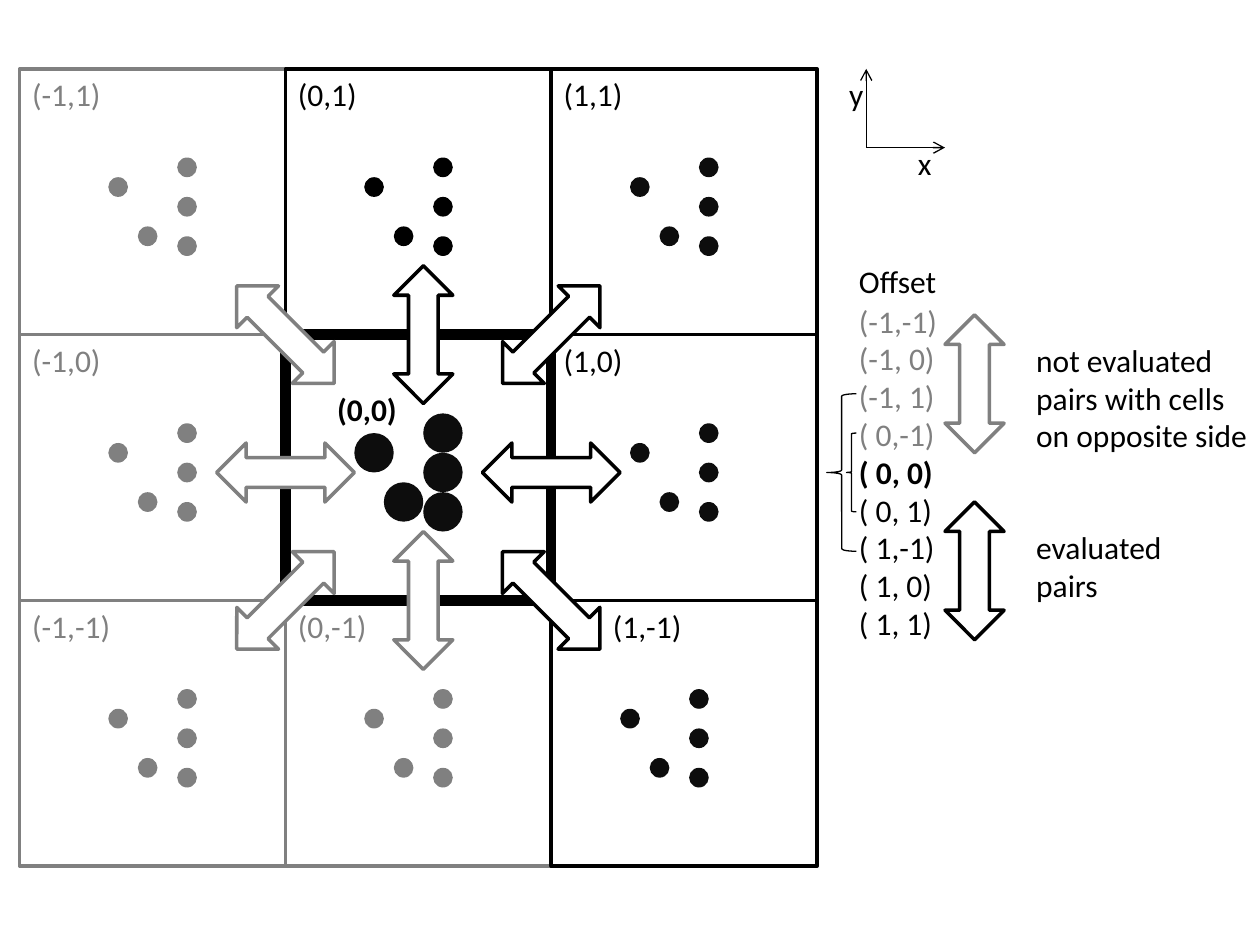
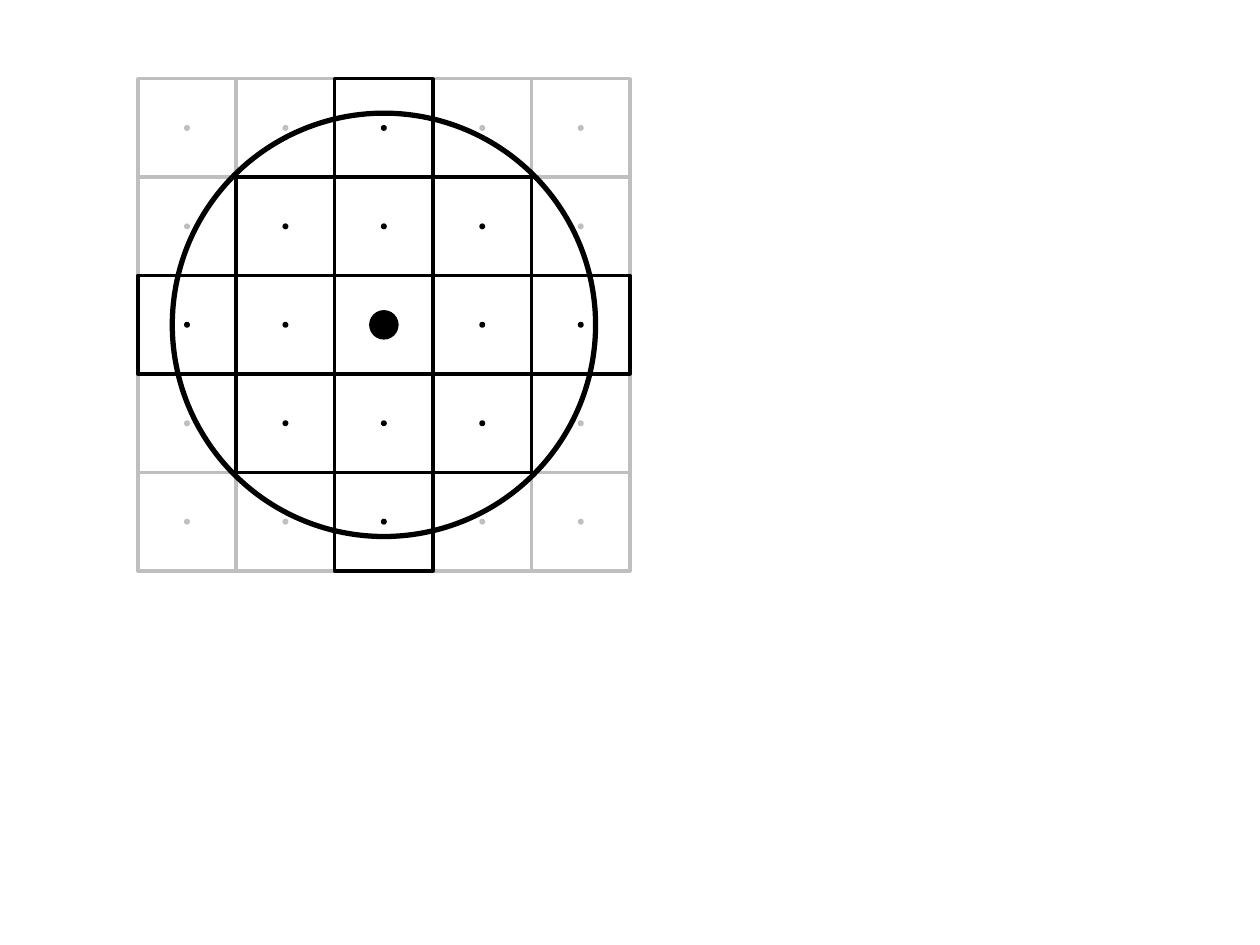
from itertools import product
from pptx import Presentation
from pptx.dml.color import RGBColor
from pptx.enum.shapes import MSO_CONNECTOR as Connector, MSO_SHAPE as Shape
from pptx.enum.text import MSO_AUTO_SIZE as AutoSize
from pptx.oxml.ns import qn
from pptx.util import Pt
from lxml.etree import SubElement

BLACK = RGBColor(0, 0, 0)
NEAR_BLACK = RGBColor(0x0D, 0x0D, 0x0D)
GRAY = RGBColor(0x80, 0x80, 0x80)
LIGHT_GRAY = RGBColor(0xBF, 0xBF, 0xBF)
WHITE = RGBColor(255, 255, 255)
FONT = "Calibri"
STEP = 45 / 8
CELL = 27 * STEP
ARROW_WIDTH, ARROW_HEIGHT = 6 * STEP, 14 * STEP
PARTICLES = [(9, 12), (16, 18), (12, 17), (16, 10), (16, 14)]


def add_outline(slide, kind, box, line=None, weight=2, fill=None):
    shape = slide.shapes.add_shape(kind, *(Pt(length) for length in box))
    shape.shadow.inherit = False
    if fill is None:
        shape.fill.background()
    else:
        shape.fill.solid()
        shape.fill.fore_color.rgb = fill
    if line is None:
        shape.line.fill.background()
    else:
        shape.line.color.rgb = line
        shape.line.width = Pt(weight)
    return shape


def add_dot(slide, x, y, diameter, color):
    box = (x - diameter / 2, y - diameter / 2, diameter, diameter)
    add_outline(slide, Shape.OVAL, box, fill=color)


def add_arrow(slide, x, y, color, rotation=0):
    box = (x - ARROW_WIDTH / 2, y - ARROW_HEIGHT / 2, ARROW_WIDTH, ARROW_HEIGHT)
    add_outline(slide, Shape.UP_DOWN_ARROW, box, color, fill=WHITE).rotation = rotation


def add_label(slide, text, box, color=BLACK, bold=False):
    label = slide.shapes.add_textbox(*(Pt(length) for length in box))
    frame = label.text_frame
    frame.word_wrap = False
    frame.auto_size = AutoSize.SHAPE_TO_FIT_TEXT
    frame.text = text
    for paragraph in frame.paragraphs:
        for run in paragraph.runs:
            run.font.name = FONT
            run.font.size = Pt(18)
            run.font.bold = bold
            run.font.color.rgb = color
    return frame


def add_axis(slide, start, end):
    axis = slide.shapes.add_connector(
        Connector.STRAIGHT, *(Pt(length) for length in start + end))
    axis.line.color.rgb = BLACK
    axis.line.width = Pt(0.75)
    SubElement(axis.line._get_or_add_ln(), qn("a:tailEnd"), type="arrow")
    SubElement(axis._element.spPr, qn("a:effectLst"))


def is_evaluated(column, row):
    return (column, row) > (0, 0)


def cell_color(column, row):
    return BLACK if is_evaluated(column, row) or (column, row) == (0, 1) else GRAY


def draw_neighbour(slide, left, top, column, row):
    color = cell_color(column, row)
    corner = (column, row) == (1, -1)
    add_outline(slide, Shape.RECTANGLE, (left, top, CELL, CELL), color)
    dot_color = NEAR_BLACK if column == 1 else color
    shift = -2 if corner else -1 if column >= 0 else 0
    for x, y in PARTICLES:
        add_dot(slide, left + (x + 1 + shift) * STEP, top + y * STEP, 2 * STEP, dot_color)
    text = f"({column},{row})"
    label_left = left + 5 * STEP if corner else left
    add_label(slide, text, (label_left, top, 49 + 5.5 * text.count("-"), 29), color)


def draw_center(slide, left, top):
    for x, y in PARTICLES:
        add_dot(slide, left + x * STEP, top + y * STEP, 4 * STEP, NEAR_BLACK)
    add_label(slide, "(0,0)", (left + 4 * STEP, top + 5 * STEP, 49, 29), bold=True)
    add_outline(slide, Shape.RECTANGLE, (left, top, CELL, CELL), BLACK, 6)


def draw_cells(slide, left, top):
    neighbours = [(column, row) for row, column in product((1, 0, -1), (-1, 0, 1))
                  if (column, row) != (0, 0)]
    for column, row in neighbours:
        draw_neighbour(slide, left + (column + 1) * CELL, top + (1 - row) * CELL,
                       column, row)
    center_left, center_top = left + CELL, top + CELL
    draw_center(slide, center_left, center_top)
    across = {-1: 0, 0: 14 * STEP, 1: CELL}
    for column, row in neighbours:
        rotation = 90 if row == 0 else 45 * column * row % 360
        add_arrow(slide, center_left + across[column], center_top + across[-row],
                  cell_color(column, row), rotation)


def draw_axes(slide, left, top, length):
    origin = (left, top + length)
    add_axis(slide, origin, (left + length, top + length))
    add_axis(slide, origin, (left, top))
    add_label(slide, "x", (left + 4 * STEP, top + 7 * STEP, 22.5, 29))
    add_label(slide, "y", (left - 3 * STEP, top, 23, 29))


def draw_offsets(slide, left, top):
    list_left = left + 2 * STEP
    add_label(slide, "Offset", (list_left, top, 59, 29))
    offsets = list(product((-1, 0, 1), repeat=2))
    lines = [f"({column:2d},{row:2d})" for column, row in offsets]
    frame = add_label(slide, "\n".join(lines), (list_left, top + 4 * STEP, 60, 204))
    for paragraph, offset in zip(frame.paragraphs, offsets):
        font = paragraph.runs[0].font
        font.color.rgb = GRAY if offset < (0, 0) else BLACK
        font.bold = offset == (0, 0)
    arrow_x = left + 15 * STEP
    add_arrow(slide, arrow_x, top + 13 * STEP, GRAY)
    add_arrow(slide, arrow_x, top + 32 * STEP, BLACK)
    note_left = left + 20 * STEP
    add_label(slide, "not evaluated\vpairs with cells\von opposite side",
              (note_left, top + 8 * STEP, 137, 73))
    add_label(slide, "evaluated\vpairs", (note_left, top + 27 * STEP, 87, 51))
    for indent, width, height in ((2, 1, 8), (0, 3, 16)):
        box = (left + indent * STEP, top + (22 - height / 2) * STEP,
               width * STEP, height * STEP)
        add_outline(slide, Shape.LEFT_BRACE, box, BLACK, 0.75)


def draw_cutoff(slide, left, top, cell):
    places = list(product(range(-2, 3), repeat=2))
    center_x, center_y = left + 2.5 * cell, top + 2.5 * cell
    near = [place for place in places if abs(place[0]) + abs(place[1]) <= 2]
    far = [place for place in places if place not in near]
    for group, color in ((far, LIGHT_GRAY), (near, BLACK)):
        for row, column in group:
            x, y = center_x + column * cell, center_y + row * cell
            add_outline(slide, Shape.RECTANGLE,
                        (x - cell / 2, y - cell / 2, cell, cell), color)
            is_center = row == column == 0
            add_dot(slide, x, y, 3 * STEP if is_center else 3.4, color)
    diameter = 4.3 * cell
    add_outline(slide, Shape.OVAL, (center_x - diameter / 2, center_y - diameter / 2,
                                    diameter, diameter), BLACK, 3)


presentation = Presentation()
presentation.slide_width, presentation.slide_height = Pt(720), Pt(540)
blank = presentation.slide_layouts[6]

cells_slide = presentation.slides.add_slide(blank)
draw_cells(cells_slide, 2 * STEP, 7 * STEP)
draw_axes(cells_slide, 88 * STEP, 7 * STEP, 8 * STEP)
draw_offsets(cells_slide, 84 * STEP, 26 * STEP)

cutoff_slide = presentation.slides.add_slide(blank)
draw_cutoff(cutoff_slide, 14 * STEP, 8 * STEP, 10 * STEP)

presentation.save("out.pptx")
